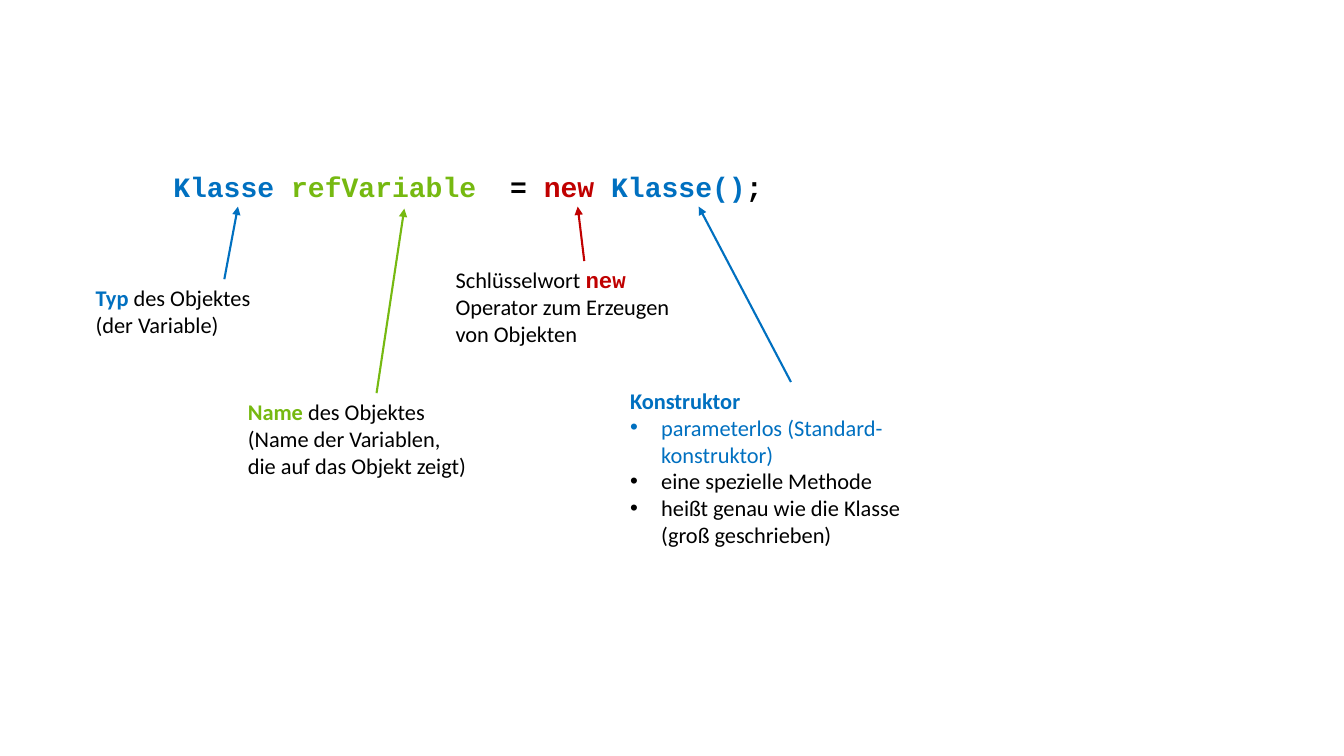
from lxml import etree
from pptx import Presentation
from pptx.dml.color import RGBColor
from pptx.enum.shapes import MSO_CONNECTOR
from pptx.enum.text import MSO_AUTO_SIZE
from pptx.oxml.ns import qn
from pptx.util import Inches, Pt

STRAIGHT = MSO_CONNECTOR.STRAIGHT
FIT = MSO_AUTO_SIZE.SHAPE_TO_FIT_TEXT
BLUE, GREEN, RED, BLACK = "0070C0", "76B911", "C00000", "000000"
SANS, MONO = "Calibri", "Courier New"
INDENT = Inches(0.31)

CODE = [("Klasse ", BLUE), ("refVariable", GREEN), ("  = ", BLACK),
        ("new ", RED), ("Klasse()", BLUE), (";", BLACK)]

NOTES = [
    {"box": (0.85, 2.77, 2.75, 0.64), "tip": (2.36, 2.05), "color": BLUE,
     "lines": [[("Typ ", BLUE, True), ("des Objektes",)],
               [("(der Variable)",)]]},
    {"box": (6.15, 3.79, 3.39, 1.72), "tip": (6.93, 2.05), "color": BLUE,
     "lines": [[("Konstruktor", BLUE, True)],
               [("parameterlos (Standard-konstruktor)", BLUE)],
               [("eine spezielle Methode",)],
               [("heißt genau wie die Klasse (groß geschrieben)",)]],
     "list": True},
    {"box": (2.36, 3.9, 2.75, 0.91), "tip": (4.01, 2.07), "color": GREEN,
     "lines": [[("Name ", GREEN, True), ("des Objektes",)],
               [("(Name der Variablen,",)],
               [("die auf das Objekt zeigt)",)]]},
    {"box": (4.42, 2.59, 2.75, 0.91), "tip": (5.73, 2.05), "color": RED,
     "lines": [[("Schlüsselwort ",), ("new", RED, True, MONO)],
               [("Operator zum Erzeugen ",), ("\n",), ("von Objekten",)]]},
]


def paint(color):
    """Turn a hex string into a colour."""
    return RGBColor.from_string(color)


def add_run(para, text, color=BLACK, bold=False, face=SANS, size=16):
    """Add one styled run, or a line break, to a paragraph."""
    if text == "\n":
        para.add_line_break()
        return
    run = para.add_run()
    run.text = text
    style = {"name": face, "size": Pt(size), "bold": bold}
    for key, value in style.items():
        setattr(run.font, key, value)
    run.font.color.rgb = paint(color)


def add_frame(slide, box, wrap):
    """Add an empty text box and return its text frame."""
    frame = slide.shapes.add_textbox(*map(Inches, box)).text_frame
    for key, value in {"word_wrap": wrap, "auto_size": FIT}.items():
        setattr(frame, key, value)
    return frame


def add_bullet(para):
    """Give a paragraph a hanging bullet."""
    props = para._p.get_or_add_pPr()
    props.set("marL", str(INDENT))
    props.set("indent", str(-INDENT))
    etree.SubElement(props, qn("a:buFont")).set("typeface", "Arial")
    etree.SubElement(props, qn("a:buChar")).set("char", "•")


def add_arrow(slide, start, tip, color):
    """Draw an arrow from start to tip."""
    arrow = slide.shapes.add_connector(STRAIGHT, *map(Inches, start + tip))
    arrow.line.color.rgb = paint(color)
    arrow.line.width = Pt(1.5)
    props = arrow._element.spPr
    line = props.find(qn("a:ln"))
    etree.SubElement(line, qn("a:tailEnd")).set("type", "triangle")
    etree.SubElement(props, qn("a:effectLst"))


def add_code(slide, box):
    """Write the statement as coloured code."""
    para = add_frame(slide, box, False).paragraphs[0]
    for text, color in CODE:
        add_run(para, text, color, True, MONO, 20)


def add_note(slide, note):
    """Place a note and its arrow from the middle of the top edge."""
    left, top, width, _ = note["box"]
    frame = add_frame(slide, note["box"], True)
    for i, line in enumerate(note["lines"]):
        para = frame.add_paragraph() if i else frame.paragraphs[0]
        if i and note.get("list"):
            add_bullet(para)
        for part in line:
            add_run(para, *part)
    add_arrow(slide, (left + width / 2, top), note["tip"], note["color"])


def main():
    """Build and save the slide."""
    deck = Presentation()
    deck.slide_width, deck.slide_height = Inches(13.33), Inches(7.5)
    slide = deck.slides.add_slide(deck.slide_layouts[6])
    add_code(slide, (1.62, 1.63, 6.09, 0.44))
    for note in NOTES:
        add_note(slide, note)
    deck.save("out.pptx")


if __name__ == "__main__":
    main()
